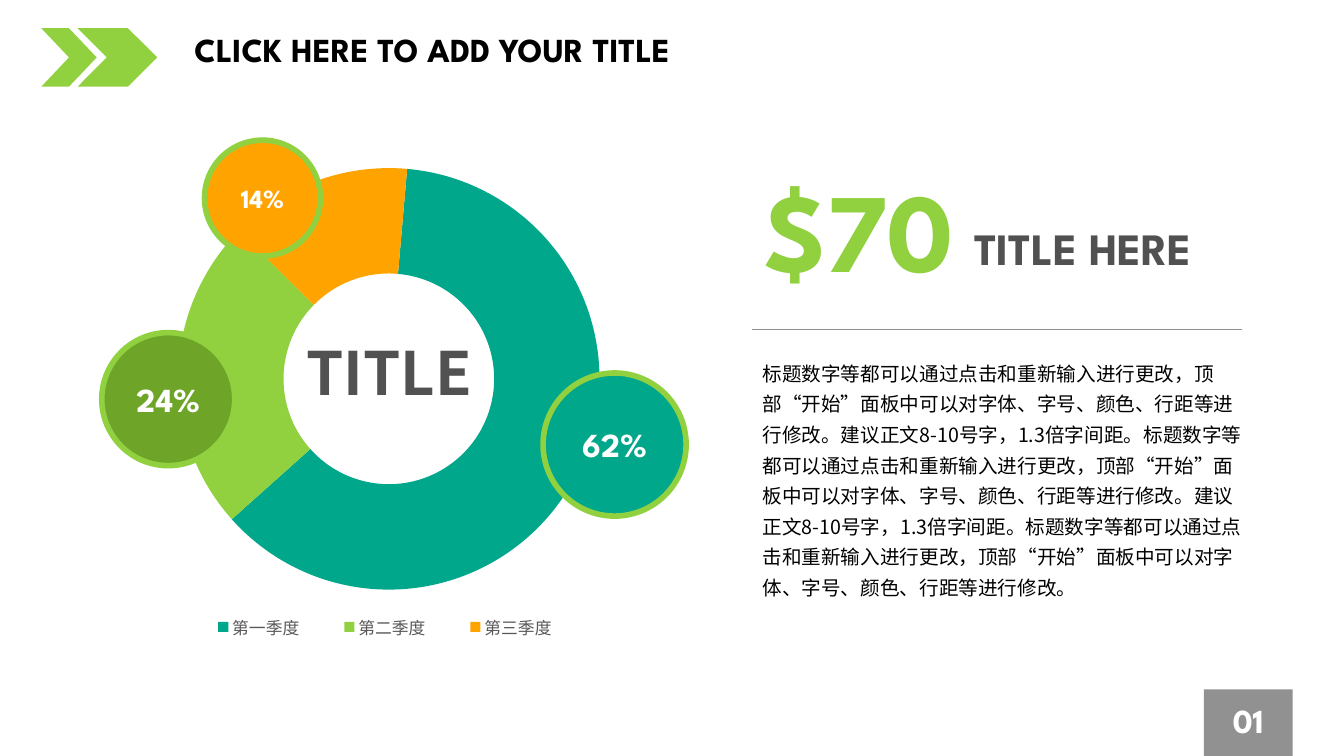
from lxml.etree import SubElement
from pptx import Presentation
from pptx.chart.data import CategoryChartData
from pptx.dml.color import RGBColor
from pptx.enum.chart import XL_CHART_TYPE as CHART, XL_LEGEND_POSITION as LEGEND
from pptx.enum.shapes import MSO_CONNECTOR as CONNECTOR, MSO_SHAPE as SHAPE
from pptx.enum.text import MSO_ANCHOR as ANCHOR, PP_ALIGN as ALIGN
from pptx.oxml.ns import qn
from pptx.util import Inches, Pt

LATIN, CJK = "League Spartan", "Noto Sans CJK SC"
GREEN, TEAL, ORANGE, OLIVE = "91D140", "00A78B", "FFA300", "6EA528"
GRAY, DARK, BLACK, WHITE = "919191", "515151", "000000", "FFFFFF"

ADVICE = ("标题数字等都可以通过点击和重新输入进行更改，顶部“开始”面板中可以对字体、"
          "字号、颜色、行距等进行修改。")
SIZE_TIP = "建议正文8-10号字，1.3倍字间距。"
BODY = ADVICE + SIZE_TIP + ADVICE + SIZE_TIP + ADVICE


def color(hex_value):
    return RGBColor.from_string(hex_value)


def write(holder, text, size, ink, font=LATIN, bold=True, align=ALIGN.LEFT,
          anchor=ANCHOR.TOP, wrap=True, spacing=None):
    frame = holder.text_frame
    frame.text = text
    frame.word_wrap = wrap
    frame.vertical_anchor = anchor
    paragraph = frame.paragraphs[0]
    paragraph.alignment = align
    paragraph.space_before = Pt(0)
    paragraph.line_spacing = spacing
    for run in paragraph.runs:
        run.font.name = font
        run.font.size = Pt(size)
        run.font.bold = bold
        run.font.color.rgb = color(ink)
        SubElement(run.font._element, qn("a:ea"), typeface=font)


def add_filled(slide, kind, left, top, width, height, fill, outline=None):
    shape = slide.shapes.add_shape(
        kind, Inches(left), Inches(top), Inches(width), Inches(height))
    shape.shadow.inherit = False
    shape.fill.solid()
    shape.fill.fore_color.rgb = color(fill)
    if outline:
        shape.line.color.rgb = color(outline)
        shape.line.width = Pt(4)
    else:
        shape.line.fill.background()
    return shape


def add_text(slide, left, top, width, height, *args, **style):
    box = slide.shapes.add_textbox(
        Inches(left), Inches(top), Inches(width), Inches(height))
    write(box, *args, **style)


def add_header(slide, left, top, height):
    for offset, width in ((0, 0.55), (0.36, 0.79)):
        add_filled(slide, SHAPE.CHEVRON, left + offset, top, width, height, GREEN)
    title = slide.shapes.title
    title.left, title.top = Inches(left + 1.42), Inches(top)
    title.width, title.height = Inches(5.32), Inches(height)
    write(title, "CLICK HERE TO ADD YOUR TITLE", 24, BLACK, spacing=0.9)


def add_page_number(slide, left, top, width, height):
    tile = add_filled(slide, SHAPE.RECTANGLE, left, top, width, height, GRAY)
    write(tile, "01", 24, WHITE, align=ALIGN.CENTER, anchor=ANCHOR.MIDDLE, spacing=0.9)


def place_legend(legend, **fractions):
    layout = legend._element.get_or_add_layout()
    manual = SubElement(layout, qn("c:manualLayout"))
    for edge in ("xMode", "yMode"):
        SubElement(manual, qn(f"c:{edge}"), val="edge")
    for side, fraction in fractions.items():
        SubElement(manual, qn(f"c:{side}"), val=str(fraction))


def add_quarter_chart(slide, left, top, width, height):
    quarters = CategoryChartData()
    quarters.categories = ["第一季度", "第二季度", "第三季度"]
    quarters.add_series("Series 1", (62, 24, 14))
    chart = slide.shapes.add_chart(
        CHART.DOUGHNUT, Inches(left), Inches(top), Inches(width), Inches(height),
        quarters).chart
    chart.has_title = False
    chart.font.name = LATIN
    chart.font.size = Pt(10)
    chart.font.color.rgb = color(BLACK)
    chart.has_legend = True
    legend = chart.legend
    legend.position = LEGEND.BOTTOM
    legend.include_in_layout = False
    legend.font.name = CJK
    legend.font.size = Pt(12)
    legend.font.color.rgb = color("595959")
    place_legend(legend, x=0.23, y=0.93, w=0.53, h=0.07)
    ring = chart.plots[0]
    ring.vary_by_categories = True
    ring._element.find(qn("c:firstSliceAng")).set("val", "5")
    ring._element.find(qn("c:holeSize")).set("val", "64")
    for index, fill in enumerate((TEAL, GREEN, ORANGE)):
        slice_format = ring.series[0].points[index].format
        slice_format.fill.solid()
        slice_format.fill.fore_color.rgb = color(fill)
        slice_format.line.fill.background()


def add_share_panel(slide, left, top, width, height):
    add_quarter_chart(slide, left, top, width, height)
    badges = (("62%", 5.39, 2.17, 1.42, TEAL, 24),
              ("24%", 1.01, 1.77, 1.32, OLIVE, 24),
              ("14%", 2.03, -0.14, 1.15, ORANGE, 18.7))
    for share, x, y, diameter, fill, size in badges:
        badge = add_filled(slide, SHAPE.OVAL, left + x, top + y,
                           diameter, diameter, fill, GREEN)
        write(badge, share, size, WHITE, align=ALIGN.CENTER,
              anchor=ANCHOR.MIDDLE, wrap=False)
    add_text(slide, left + 2.75, top + 1.75, 2.23, 0.82, "TITLE", 42.7, DARK,
             font=CJK, align=ALIGN.CENTER, anchor=ANCHOR.MIDDLE)


def add_price_panel(slide, left, top, width):
    add_text(slide, left + 2.11, top + 0.6, 2.89, 0.64, "TITLE HERE", 32, DARK)
    add_text(slide, left - 0.24, top - 0.01, 2.35, 1.45, "$70", 80, GREEN,
             align=ALIGN.RIGHT, anchor=ANCHOR.MIDDLE)
    add_text(slide, left + 0.01, top + 1.93, width, 2.52, BODY, 14, BLACK,
             font=CJK, bold=False, spacing=1.3)
    rule_y = Inches(top + 1.73)
    rule = slide.shapes.add_connector(
        CONNECTOR.STRAIGHT, Inches(left), rule_y, Inches(left + 4.87), rule_y)
    rule.line.color.rgb = color(GRAY)
    rule.line.width = Pt(1.25)
    SubElement(rule._element.spPr, qn("a:effectLst"))


def main():
    deck = Presentation()
    deck.slide_width, deck.slide_height = Inches(13.34), Inches(7.5)
    slide = deck.slides.add_slide(deck.slide_layouts[5])
    add_header(slide, 0.41, 0.28, 0.58)
    add_page_number(slide, 11.95, 6.84, 0.88, 0.66)
    add_share_panel(slide, 0, 1.53, 7.72, 4.86)
    add_price_panel(slide, 7.46, 1.54, 5)
    deck.save("out.pptx")


if __name__ == "__main__":
    main()
